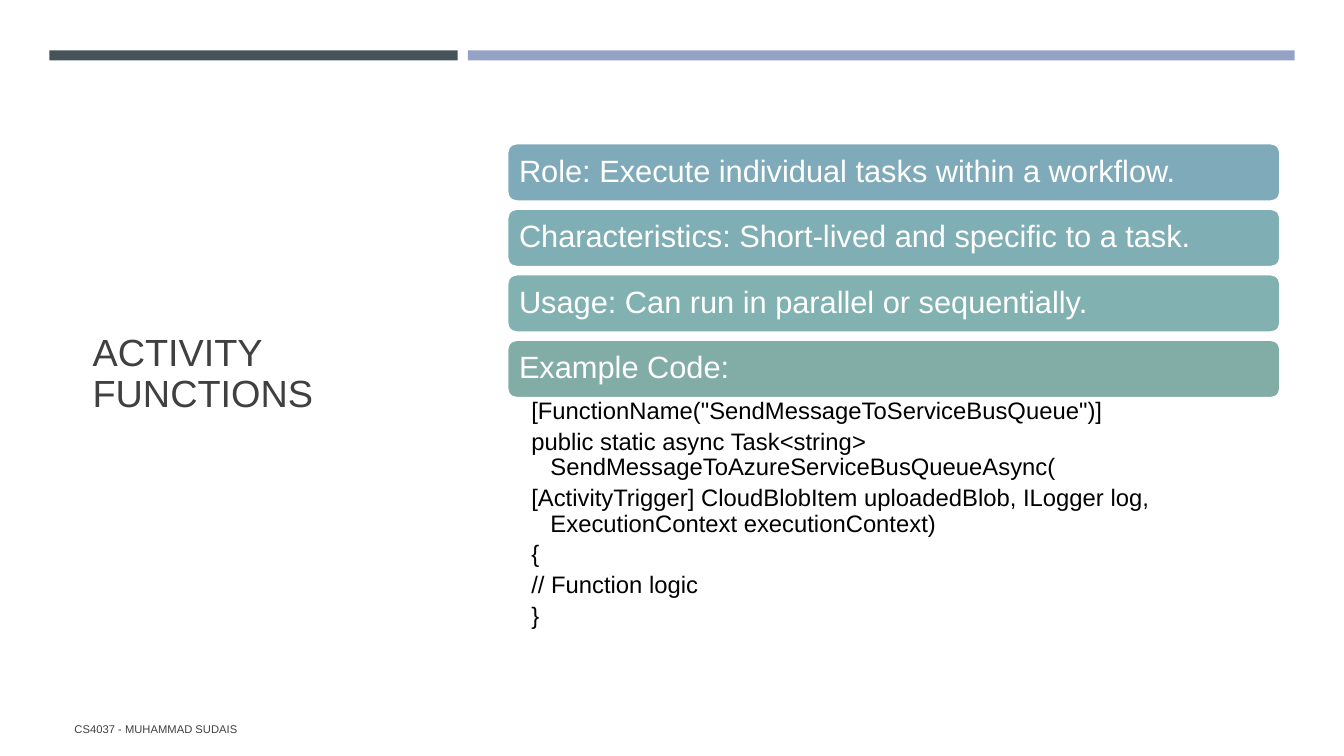
from pptx import Presentation
from pptx.dml.color import RGBColor
from pptx.enum.shapes import MSO_SHAPE
from pptx.enum.text import MSO_ANCHOR, PP_ALIGN
from pptx.util import Inches, Pt

WHITE = RGBColor(0xFF, 0xFF, 0xFF)
BLACK = RGBColor(0, 0, 0)
GRAY = RGBColor(0x40, 0x40, 0x40)
SLATE = RGBColor(0x46, 0x53, 0x59)
LAVENDER = RGBColor(0x94, 0xA3, 0xC5)

CARDS = [
    ("Role: Execute individual tasks within a workflow.", RGBColor(0x7F, 0xAA, 0xBA)),
    ("Characteristics: Short-lived and specific to a task.", RGBColor(0x80, 0xAE, 0xB5)),
    ("Usage: Can run in parallel or sequentially.", RGBColor(0x81, 0xB1, 0xB1)),
    ("Example Code:", RGBColor(0x82, 0xAC, 0xA6)),
]
CODE = [
    '[FunctionName("SendMessageToServiceBusQueue")]',
    "public static async Task<string> SendMessageToAzureServiceBusQueueAsync(",
    "[ActivityTrigger] CloudBlobItem uploadedBlob, ILogger log, ExecutionContext executionContext)",
    "{",
    "// Function logic",
    "}",
]


def write(shape, lines, size, color, anchor=MSO_ANCHOR.MIDDLE, spacing=0.9, after=0):
    tf = shape.text_frame
    tf.word_wrap = True
    tf.vertical_anchor = anchor
    tf.text = "\n".join(lines)
    for p in tf.paragraphs:
        p.alignment = PP_ALIGN.LEFT
        p.line_spacing = spacing
        p.space_after = Pt(after)
        for r in p.runs:
            r.font.name = "Arial"
            r.font.size = Pt(size)
            r.font.color.rgb = color
    return tf


def set_insets(tf, left, top, right, bottom):
    tf.margin_left, tf.margin_top = Inches(left), Inches(top)
    tf.margin_right, tf.margin_bottom = Inches(right), Inches(bottom)


def add_box(s, kind, x, y, w, h, fill):
    sp = s.shapes.add_shape(kind, Inches(x), Inches(y), Inches(w), Inches(h))
    sp.shadow.inherit = False
    sp.fill.solid()
    sp.fill.fore_color.rgb = fill
    sp.line.fill.background()
    return sp


def add_text(s, x, y, w, h, lines, size, color, **style):
    sp = s.shapes.add_textbox(Inches(x), Inches(y), Inches(w), Inches(h))
    return write(sp, lines, size, color, **style)


def add_top_bars(s, x, y, h):
    add_box(s, MSO_SHAPE.RECTANGLE, x, y, 4.05, h, SLATE)
    add_box(s, MSO_SHAPE.RECTANGLE, x + 4.15, y, 8.2, h, LAVENDER)


def add_cards(s, x, y, w, h, pitch):
    for i, (text, fill) in enumerate(CARDS):
        card = add_box(s, MSO_SHAPE.ROUNDED_RECTANGLE, x, y + i * pitch, w, h, fill)
        card.line.color.rgb = WHITE
        card.line.width = Pt(1.75)
        set_insets(write(card, [text], 22, WHITE), 0.09, 0.09, 0.09, 0.09)


def add_code(s, x, y, w, h):
    """Code lines with a hanging indent for wrapped text."""
    tf = add_text(s, x, y, w, h, CODE, 17, BLACK, anchor=MSO_ANCHOR.TOP, after=3.5)
    set_insets(tf, 0.24, 0.03, 0.17, 0.03)
    for p in tf.paragraphs:
        p.level = 1
        pPr = p._p.get_or_add_pPr()
        pPr.set("marL", str(Inches(0.19)))
        pPr.set("indent", str(-Inches(0.19)))


def main():
    prs = Presentation()
    prs.slide_width, prs.slide_height = Inches(13.33), Inches(7.5)
    s = prs.slides.add_slide(prs.slide_layouts[6])
    add_text(s, 0.82, 1.14, 3.34, 5.15, ["ACTIVITY FUNCTIONS"], 27, GRAY)
    add_top_bars(s, 0.49, 0.5, 0.1)
    add_text(s, 0.64, 7.03, 7.56, 0.4, ["CS4037 - MUHAMMAD SUDAIS"], 8, GRAY, spacing=1.0, after=6)
    add_cards(s, 5.03, 1.42, 7.67, 0.58, pitch=0.65)
    add_code(s, 5.03, 3.93, 7.67, 2.44)
    prs.save("out.pptx")


if __name__ == "__main__":
    main()
